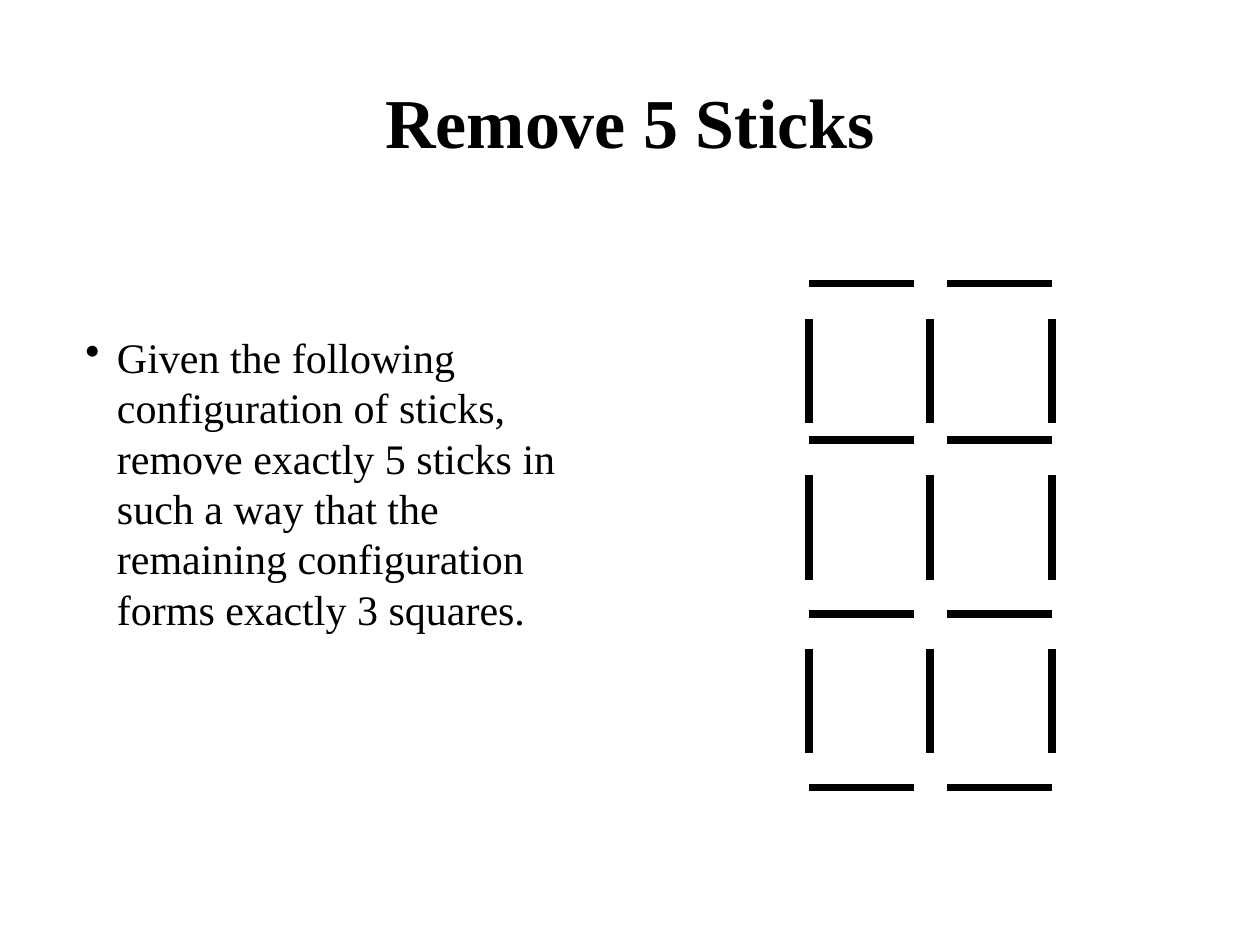
import pptx
import pptx.dml.color
import pptx.enum.shapes
import pptx.enum.text
import pptx.util
from lxml import etree
from pptx.oxml.ns import qn
from pptx.util import Inches

BLACK = "000000"
STICK_WIDTH = 4.5
STICK_LENGTH = 0.83
COLUMN_LEFTS = (6.42, 7.52)
SIDE_XS = (6.42, 7.38, 8.35)
ROW_TOPS = (2.25, 3.49, 4.87)
BOTTOM_Y = 6.25
SIDE_DROP = 0.28

TITLE_FORMAT = {"name": "Times New Roman", "size": pptx.util.Pt(40), "bold": True}
BODY_FORMAT = {"name": "Times New Roman", "size": pptx.util.Pt(24)}


def color(value):
    return pptx.dml.color.RGBColor.from_string(value)


def format_font(font, values):
    for name, value in values.items():
        setattr(font, name, value)
    font.color.rgb = color(BLACK)


def add_title(slide, text):
    title = slide.shapes.title
    title.left, title.top = Inches(0.75), Inches(0.33)
    title.width, title.height = Inches(8.5), Inches(1.25)
    frame = title.text_frame
    frame.text = text
    frame.vertical_anchor = pptx.enum.text.MSO_ANCHOR.MIDDLE
    paragraph = frame.paragraphs[0]
    paragraph.alignment = pptx.enum.text.PP_ALIGN.CENTER
    format_font(paragraph.font, TITLE_FORMAT)


def set_bullet(paragraph):
    properties = paragraph._p.get_or_add_pPr()
    properties.set("marL", str(Inches(0.25)))
    properties.set("indent", str(-Inches(0.25)))
    bullet = etree.SubElement(properties, qn("a:buChar"))
    bullet.set("char", "•")


def add_instruction(slide, text):
    box = slide.shapes.add_textbox(Inches(0.58), Inches(2.58), Inches(4.08), Inches(3.25))
    frame = box.text_frame
    frame.word_wrap = True
    frame.text = text
    paragraph = frame.paragraphs[0]
    set_bullet(paragraph)
    paragraph.line_spacing = pptx.util.Pt(28.8)
    format_font(paragraph.font, BODY_FORMAT)


def add_stick(slide, left, top, width=0, height=0):
    stick = slide.shapes.add_connector(
        pptx.enum.shapes.MSO_CONNECTOR.STRAIGHT,
        Inches(left), Inches(top), Inches(left + width), Inches(top + height),
    )
    stick.line.color.rgb = color(BLACK)
    stick.line.width = pptx.util.Pt(STICK_WIDTH)
    etree.SubElement(stick._element.spPr, qn("a:effectLst"))


def add_stick_grid(slide):
    for top in (*ROW_TOPS, BOTTOM_Y):
        for left in COLUMN_LEFTS:
            add_stick(slide, left, top, width=STICK_LENGTH)
    for top in ROW_TOPS:
        for left in SIDE_XS:
            add_stick(slide, left, top + SIDE_DROP, height=STICK_LENGTH)


def main():
    presentation = pptx.Presentation()
    presentation.slide_width = Inches(10)
    presentation.slide_height = Inches(7.5)
    slide = presentation.slides.add_slide(presentation.slide_layouts[5])
    add_title(slide, "Remove 5 Sticks")
    add_instruction(
        slide,
        "Given the following configuration of sticks, remove exactly 5 sticks "
        "in such a way that the remaining configuration forms exactly 3 squares.",
    )
    add_stick_grid(slide)
    presentation.save("out.pptx")


if __name__ == "__main__":
    main()
